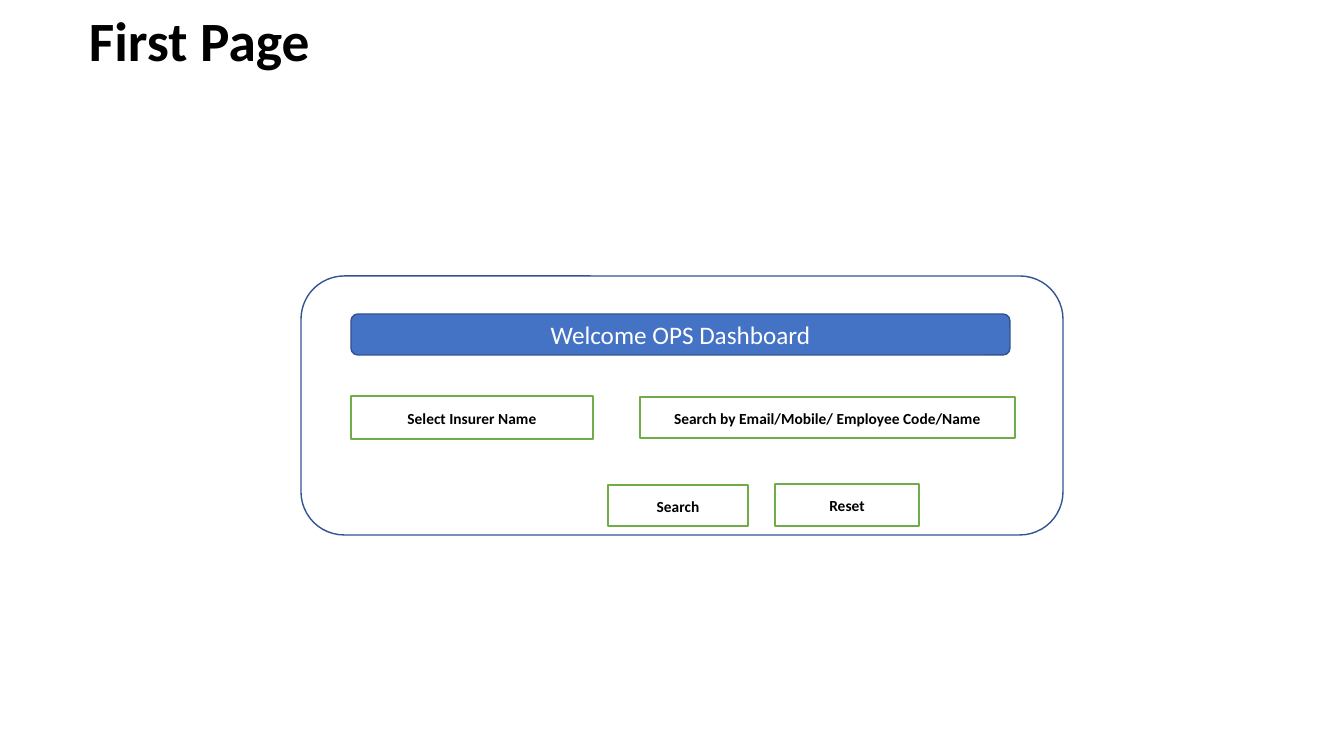
from pptx import Presentation
from pptx.dml.color import RGBColor
from pptx.enum.shapes import MSO_SHAPE
from pptx.enum.text import MSO_ANCHOR, PP_ALIGN
from pptx.util import Pt

RECTANGLE = MSO_SHAPE.RECTANGLE
ROUNDED = MSO_SHAPE.ROUNDED_RECTANGLE
MIDDLE = MSO_ANCHOR.MIDDLE
LEFT, CENTER = PP_ALIGN.LEFT, PP_ALIGN.CENTER
SCALE = 914400 / 100.8
BLACK, WHITE, BLUE, NAVY, GREEN = "000000", "FFFFFF", "4472C4", "325491", "70AD47"


def emu(pixels):
    return round(pixels * SCALE)


def color(value):
    return RGBColor.from_string(value)


class Page:
    font_name = "Calibri"

    def __init__(self, deck):
        self.slide = deck.slides.add_slide(deck.slide_layouts[6])

    def label(self, box, text, size, ink, bold=False, align=CENTER, spacing=1.0):
        frame = box.text_frame
        frame.word_wrap = True
        frame.vertical_anchor = MIDDLE
        para = frame.paragraphs[0]
        para.text = text
        para.alignment = align
        para.line_spacing = spacing
        font = para.font
        font.name = self.font_name
        font.size = Pt(size)
        font.bold = bold
        font.color.rgb = color(ink)

    def title(self, place, text):
        box = self.slide.shapes.add_textbox(*map(emu, place))
        self.label(box, text, 39.6, BLACK, bold=True, align=LEFT, spacing=0.9)

    def panel(self, kind, place, outline, fill=None):
        box = self.slide.shapes.add_shape(kind, *map(emu, place))
        box.shadow.inherit = False
        if fill:
            box.fill.solid()
            box.fill.fore_color.rgb = color(fill)
        else:
            box.fill.background()
        box.line.color.rgb = color(outline)
        box.line.width = Pt(1)
        return box

    def control(self, place, text):
        box = self.panel(RECTANGLE, place, GREEN, WHITE)
        self.label(box, text, 11, BLACK, bold=True, spacing=1.07)

    def banner(self, place, text):
        box = self.panel(ROUNDED, place, NAVY, BLUE)
        self.label(box, text, 18, WHITE)


deck = Presentation()
deck.slide_width, deck.slide_height = emu(1344), emu(756)
page = Page(deck)

controls = [
    ((608, 485, 140, 41), "Search"),
    ((775, 484, 144, 42), "Reset"),
    ((351, 396, 242, 43), "Select Insurer Name"),
    ((640, 397, 375, 41), "Search by Email/Mobile/ Employee Code/Name"),
]
for place, text in controls:
    page.control(place, text)

page.panel(ROUNDED, (301, 276, 762, 259), NAVY)
page.banner((351, 314, 659, 41), "Welcome OPS Dashboard")
page.title((79, 17, 1159, 53), "First Page")

deck.save("out.pptx")
